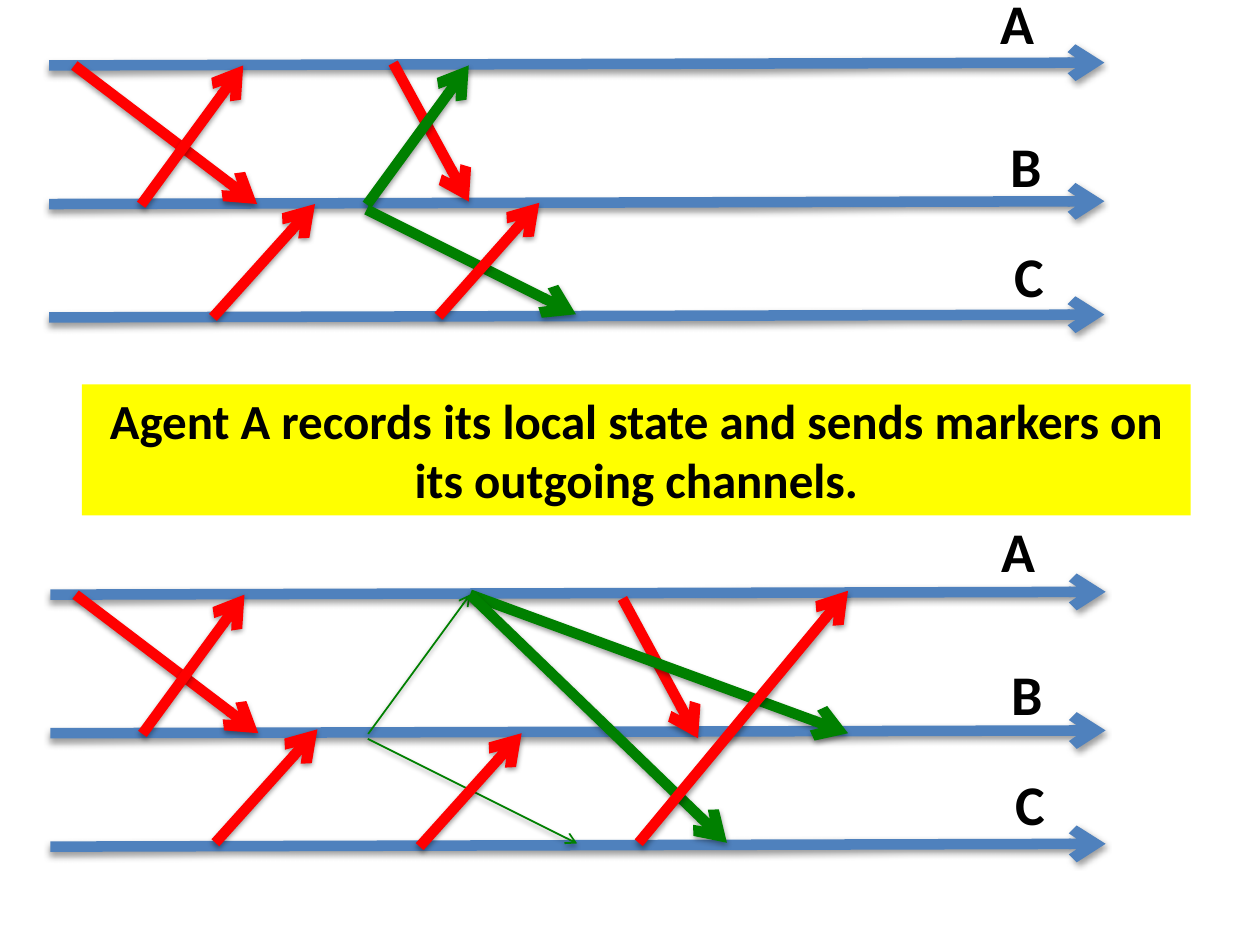
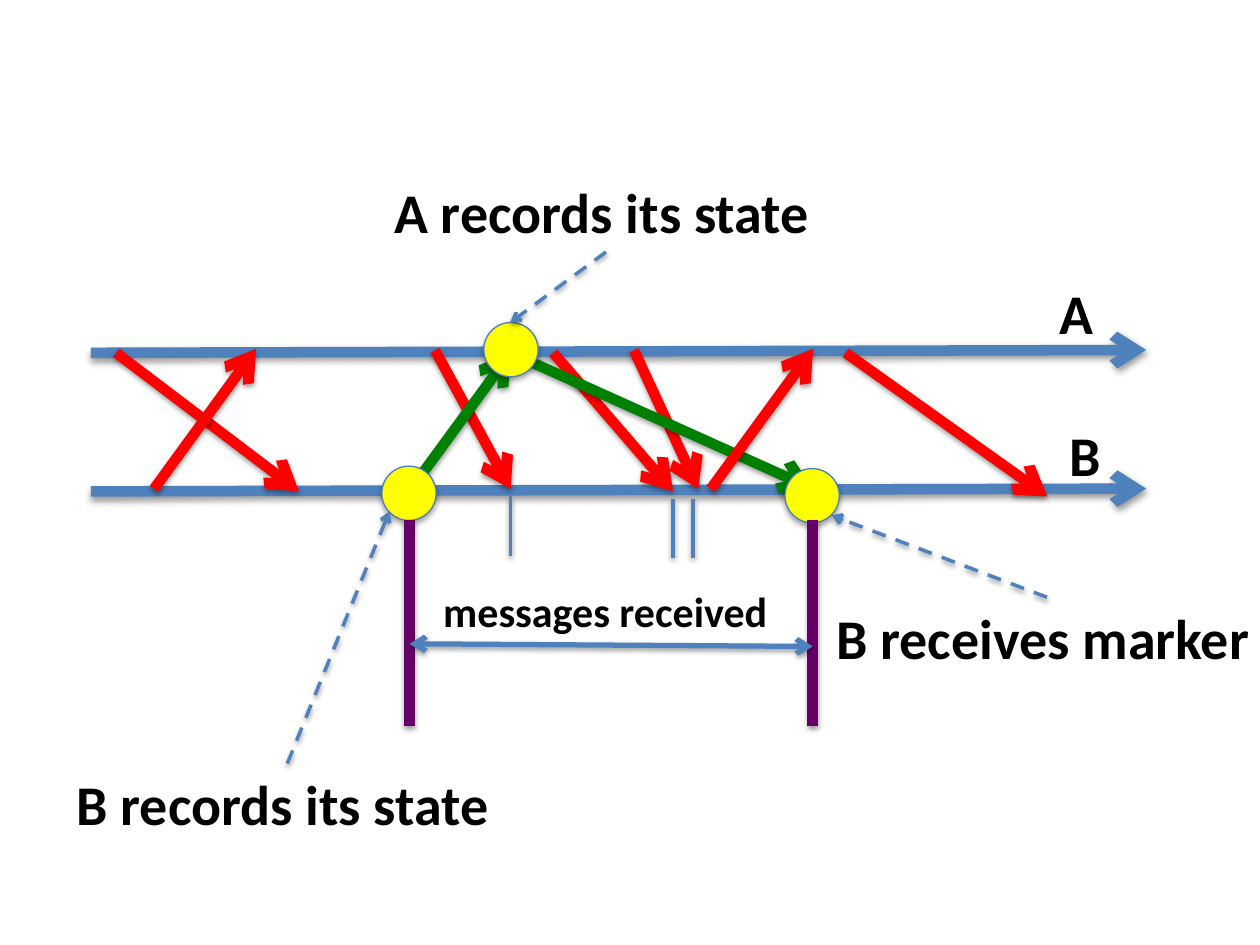
"""Build two slides on recording the global state of message-passing agents."""
from lxml.etree import SubElement
from pptx import Presentation
from pptx.dml.color import RGBColor
from pptx.enum.dml import MSO_LINE
from pptx.enum.shapes import MSO_CONNECTOR, MSO_SHAPE
from pptx.enum.text import MSO_AUTO_SIZE, PP_ALIGN
from pptx.oxml.ns import qn
from pptx.util import Pt

BLUE, RED, GREEN, PURPLE = "4F81BD", "FF0000", "008000", "660066"
YELLOW, CIRCLE_EDGE, BLACK = "FFFF00", "4B7EBC", "000000"
FONT = "Calibri"
THICK, THIN = 6, 1
LANE_LENGTH, LANE_RISE = 603, 1.6
LANES = {
    "A": (0, 0, 0, 34),
    "B": (79.2, 5.8, 81.5, 33),
    "C": (144, 7.9, 144.6, 32),
}
FIRST_MESSAGE = (RED, 14.4, 0, 118.8, 79.2)
REPLY = (RED, 52.6, 79.6, 110.9, 0)
CROSSING = (RED, 196.6, -1.4, 239.8, 77.8)
MARKER_TO_A = (GREEN, 181.6, 79.6, 239.8, 0)
MARKER_TO_C = (GREEN, 181.4, 82.4, 301, 142.2)


def rgb(value):
    return RGBColor.from_string(value)


class Deck:
    def __init__(self):
        self.prs = Presentation()
        self.prs.slide_width, self.prs.slide_height = Pt(720), Pt(540)
        self.s = None
        self.origin = (0, 0)

    def slide(self):
        self.s = self.prs.slides.add_slide(self.prs.slide_layouts[6])

    def shadow(self, sp, distance, alpha):
        effects = SubElement(sp._element.spPr, qn("a:effectLst"))
        outer = SubElement(effects, qn("a:outerShdw"), blurRad=str(Pt(3.1)),
                           dist=str(Pt(distance)), dir="5400000", rotWithShape="0")
        color = SubElement(outer, qn("a:srgbClr"), val=BLACK)
        SubElement(color, qn("a:alpha"), val=str(alpha * 1000))

    def line(self, color, x1, y1, x2, y2, width=THICK, ends=(), dashed=False):
        sp = self.s.shapes.add_connector(
            MSO_CONNECTOR.STRAIGHT, Pt(x1), Pt(y1), Pt(x2), Pt(y2))
        sp.line.color.rgb = rgb(color)
        sp.line.width = Pt(width)
        if dashed:
            sp.line.dash_style = MSO_LINE.DASH
        for end in ends:
            SubElement(sp.line._get_or_add_ln(), qn(f"a:{end}"), type="arrow")
        self.shadow(sp, 1.6, 38)

    def arrow(self, *args, **kwargs):
        self.line(*args, ends=("tailEnd",), **kwargs)

    def message(self, color, x1, y1, x2, y2, width=THICK):
        x, y = self.origin
        self.arrow(color, x + x1, y + y1, x + x2, y + y2, width=width)

    def text(self, text, x, y, w, h=46, size=32, fill=None):
        sp = self.s.shapes.add_textbox(Pt(x), Pt(y), Pt(w), Pt(h))
        tf = sp.text_frame
        tf.word_wrap = fill is not None
        tf.auto_size = MSO_AUTO_SIZE.SHAPE_TO_FIT_TEXT
        p = tf.paragraphs[0]
        p.text = text
        p.font.name, p.font.size, p.font.bold = FONT, Pt(size), True
        p.font.color.rgb = rgb(BLACK)
        if fill:
            sp.fill.solid()
            sp.fill.fore_color.rgb = rgb(fill)
            p.alignment = PP_ALIGN.CENTER

    def circle(self, x, y, size=31):
        sp = self.s.shapes.add_shape(MSO_SHAPE.OVAL, Pt(x), Pt(y), Pt(size), Pt(size))
        sp.fill.solid()
        sp.fill.fore_color.rgb = rgb(YELLOW)
        sp.line.color.rgb = rgb(CIRCLE_EDGE)
        sp.line.width = Pt(0.75)
        self.shadow(sp, 1.8, 35)

    def timelines(self, agents, x, y, label_x, label_y):
        self.origin = (x, y)
        for agent in agents:
            lane_y, dx, dy, width = LANES[agent]
            self.message(BLUE, 0, lane_y, LANE_LENGTH, lane_y - LANE_RISE)
            self.text(agent, label_x + dx, label_y + dy, width)


def marker_slide(deck):
    deck.slide()
    deck.timelines("ABC", 28.1, 37.4, 564.5, -10)
    for message in (
        FIRST_MESSAGE, CROSSING, MARKER_TO_A, REPLY, MARKER_TO_C,
        (RED, 93.6, 144, 151.9, 79.2),
        (RED, 222.5, 143.3, 280.1, 78.5),
    ):
        deck.message(*message)

    deck.timelines("ABC", 28.8, 339.8, 565.2, 291.6)
    for marker in (MARKER_TO_A, MARKER_TO_C):
        deck.message(*marker, width=THIN)
    for message in (
        FIRST_MESSAGE, REPLY,
        (RED, 326.9, 2.2, 370.1, 82.1),
        (RED, 94.3, 141.8, 152.6, 77),
        (RED, 211, 144, 269.3, 79.2),
        (GREEN, 239.8, 0, 455.8, 79.2),
        (GREEN, 239.8, 0, 386.6, 141.8),
        (RED, 336.2, 141.8, 455.8, -2.2),
    ):
        deck.message(*message)
    deck.text("Agent A records its local state and sends markers on its outgoing channels.",
              46.8, 219.6, 633.6, 75, size=28, fill=YELLOW)


def channel_slide(deck):
    deck.slide()
    deck.timelines("AB", 52, 201.6, 598.3, 155.5)
    for message in (
        FIRST_MESSAGE, CROSSING,
        (RED, 264.2, 0, 332.6, 79.2),
        (RED, 310.3, -1.4, 347, 77.8),
        MARKER_TO_A,
        (GREEN, 239.8, 0, 412.6, 77.8),
        (RED, 431.3, 0, 546.5, 82.1),
        (RED, 36, 77.8, 94.3, -2.2),
        (RED, 354.2, 77.8, 412.6, -2.2),
    ):
        deck.message(*message)
    for x, y in ((218.2, 266.4), (276.5, 184.3), (448.6, 267.8)):
        deck.circle(x, y)
    for x in (234, 464.4):
        deck.line(PURPLE, x, 297.4, x, 414.7)
    for x, y in ((291.6, 283.7), (384.5, 285.1), (396, 285.1)):
        deck.line(BLUE, x, y, x, y + 33.8, width=2)
    deck.line(BLUE, 234, 367.9, 464.4, 369.4, width=3, ends=("headEnd", "tailEnd"))
    for pointer in (
        (164.2, 436.3, 222.5, 292.3),
        (598.3, 341.3, 475.2, 294.5),
        (346.3, 144, 291.6, 184.3),
    ):
        deck.arrow(BLUE, *pointer, width=2, dashed=True)
    deck.text("B records its state", 36.7, 436.3, 254.2)
    deck.text("B receives marker", 470.9, 341.3, 254.2)
    deck.text("A records its state", 218.2, 97.9, 255.6)
    deck.text("messages received", 246.2, 331.2, 202.3, 36, size=24)


def main():
    deck = Deck()
    marker_slide(deck)
    channel_slide(deck)
    deck.prs.save("out.pptx")


if __name__ == "__main__":
    main()
